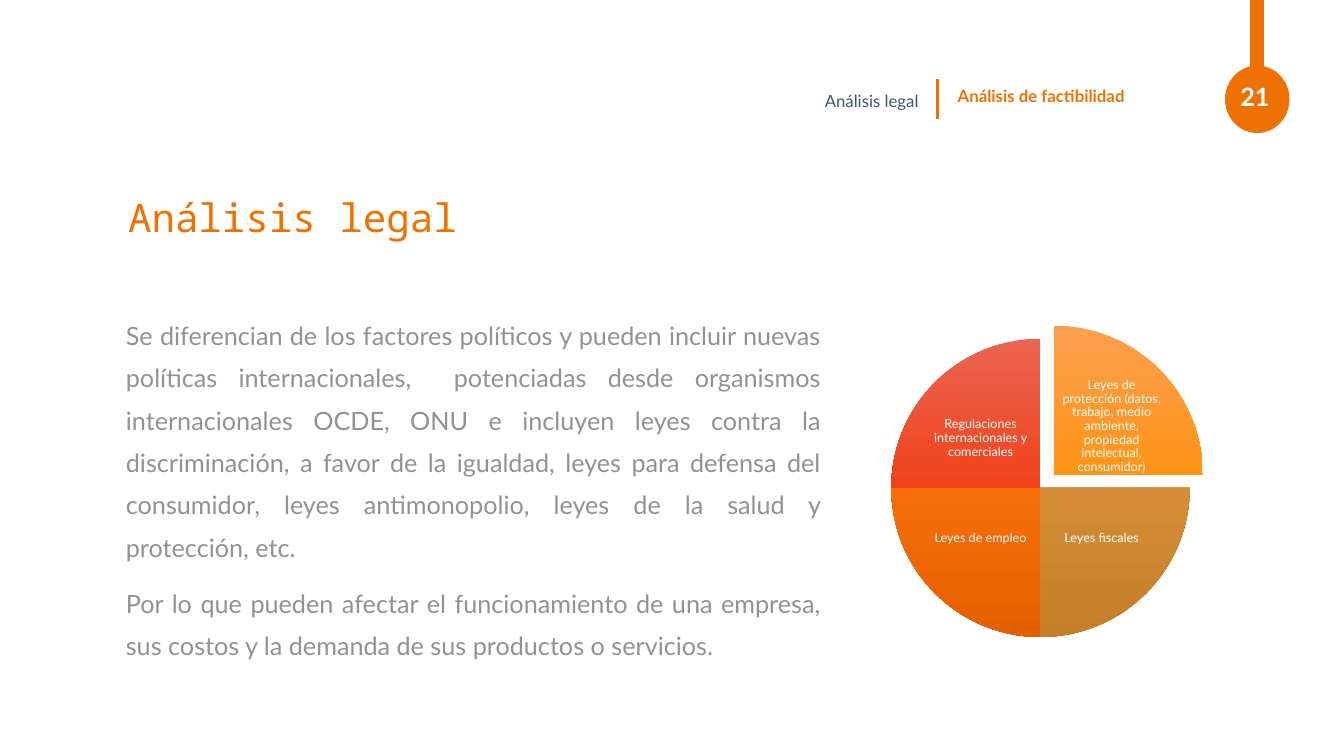
"""Build the legal analysis slide with its four-part pie diagram."""
import copy
import dataclasses

import lxml.etree
import pptx
import pptx.dml.color
import pptx.enum.shapes
import pptx.enum.text
import pptx.oxml.ns
import pptx.util

ALIGN = pptx.enum.text.PP_ALIGN
ANCHOR = pptx.enum.text.MSO_ANCHOR
SHAPE = pptx.enum.shapes.MSO_SHAPE


@dataclasses.dataclass(frozen=True)
class Theme:
    """Colours, fonts and type sizes of the slide."""
    accent: str = "EE7203"
    slate: str = "3A5868"
    grey: str = "929292"
    white: str = "FFFFFF"
    amber: tuple = ("FC9F4F", "FF9416", "E58311")
    bronze: tuple = ("D49A5D", "D58E37", "C57F29")
    orange: tuple = ("F0814D", "F76E0B", "E56000")
    red: tuple = ("EB6451", "F04219", "E0340C")
    text_font: str = "Lato"
    title_font: str = "Noto Sans Mono"
    title_size: int = 28
    body_size: int = 18
    header_size: int = 12
    label_size: int = 9


def px(length):
    """Turn px, at 100 to the inch, into EMU."""
    return pptx.util.Emu(length * 9144)


def rgb(code):
    """Turn a hex code into a colour."""
    return pptx.dml.color.RGBColor.from_string(code)


class SlideBuilder:
    """Draw styled elements on one page."""

    def __init__(self, deck, theme):
        """Add a title-only page to the deck."""
        self.theme = theme
        self.page = deck.slides.add_slide(deck.slide_layouts[5])

    def fill_text(self, box, paragraphs, size, color, align=ALIGN.LEFT, bold=False,
                  font=None, spacing=1.0, before=0, anchor=ANCHOR.MIDDLE, inset=None):
        """Fill a box with formatted paragraphs."""
        frame = box.text_frame
        frame.word_wrap = True
        frame.auto_size = pptx.enum.text.MSO_AUTO_SIZE.NONE
        frame.vertical_anchor = anchor
        if inset is not None:
            frame.margin_left = frame.margin_right = px(inset)
            frame.margin_top = frame.margin_bottom = px(inset)
        frame.text = "\n".join(paragraphs)
        for para in frame.paragraphs:
            para.alignment = align
            para.line_spacing = spacing
            para.space_before = pptx.util.Pt(before)
            for span in para.runs:
                span.font.name = font or self.theme.text_font
                span.font.size = pptx.util.Pt(size)
                span.font.bold = bold
                span.font.color.rgb = rgb(color)

    def title(self, text, left, top, width, height):
        """Place and format the title placeholder."""
        box = self.page.shapes.title
        box.left, box.top, box.width, box.height = map(px, (left, top, width, height))
        self.fill_text(box, [text], self.theme.title_size, self.theme.accent,
                       font=self.theme.title_font, spacing=0.9)

    def text(self, bounds, paragraphs, size, color, **style):
        """Add a text box."""
        box = self.page.shapes.add_textbox(*map(px, bounds))
        self.fill_text(box, paragraphs, size, color, **style)

    def line(self, x, top, bottom, weight):
        """Add a vertical accent line."""
        kind = pptx.enum.shapes.MSO_CONNECTOR.STRAIGHT
        line = self.page.shapes.add_connector(kind, px(x), px(top), px(x), px(bottom))
        line.line.color.rgb = rgb(self.theme.accent)
        line.line.width = pptx.util.Pt(weight)
        properties = line._element.spPr
        lxml.etree.SubElement(properties, pptx.oxml.ns.qn("a:effectLst"))

    def shape(self, kind, bounds):
        """Add a preset shape without outline or shadow."""
        shape = self.page.shapes.add_shape(kind, *map(px, bounds))
        shape.shadow.inherit = False
        shape.line.fill.background()
        return shape

    def disc(self, bounds):
        """Add a plain accent ellipse."""
        disc = self.shape(SHAPE.OVAL, bounds)
        disc.fill.solid()
        disc.fill.fore_color.rgb = rgb(self.theme.accent)

    def sector(self, left, top, size, quarter, colors):
        """Add a quarter of a pie with a vertical gradient."""
        sector = self.shape(SHAPE.PIE, (left, top, size, size))
        sector.adjustments[0] = quarter * 54
        sector.adjustments[1] = (quarter + 1) % 4 * 54
        sector.fill.gradient()
        sector.fill.gradient_angle = 270
        stops = sector._element.spPr.find(".//" + pptx.oxml.ns.qn("a:gsLst"))
        stops.append(copy.deepcopy(stops[0]))
        for index, (stop, color) in enumerate(zip(sector.fill.gradient_stops, colors)):
            stop.position = index / 2
            stop.color.rgb = rgb(color)

    def label(self, left, top, text):
        """Add a centred label over a sector."""
        self.text((left, top, 109, 88), [text], self.theme.label_size,
                  self.theme.white, align=ALIGN.CENTER, spacing=0.9, inset=1)


def main():
    """Compose and save the slide."""
    deck = pptx.Presentation()
    deck.slide_width, deck.slide_height = px(1333), px(750)
    theme = Theme()
    slide = SlideBuilder(deck, theme)

    slide.disc((1215, 65, 64, 67))
    slide.line(1247, 85, 0, 10)
    slide.line(930, 78, 118, 2.25)
    slide.text((1215, 80, 54, 32), ["21"], theme.body_size, theme.white,
               align=ALIGN.RIGHT, bold=True)
    slide.text((488, 75, 433, 39), ["Análisis legal"], theme.header_size, theme.slate,
               align=ALIGN.RIGHT, spacing=1.5, before=10)
    slide.text((940, 76, 268, 39), ["Análisis de factibilidad"], theme.header_size,
               theme.accent, bold=True)

    slide.title("Análisis legal", 117, 164, 1043, 108)
    slide.text((115, 301, 709, 377), [
        "Se diferencian de los factores políticos y pueden incluir nuevas políticas "
        "internacionales,  potenciadas desde organismos internacionales OCDE, ONU e "
        "incluyen leyes contra la discriminación, a favor de la igualdad, leyes para "
        "defensa del consumidor, leyes antimonopolio, leyes de la salud y protección, etc.",
        "Por lo que pueden afectar el funcionamiento de una empresa, sus costos y la "
        "demanda de sus productos o servicios.",
    ], theme.body_size, theme.grey, align=ALIGN.JUSTIFY, spacing=1.4, before=10,
        anchor=ANCHOR.TOP)

    pie_left, pie_top, pie_size, pull = 884, 336, 296, 13
    sectors = [
        (3, pull, theme.amber, 1048, 379, "Leyes de protección (datos, trabajo, medio "
         "ambiente, propiedad intelectual, consumidor)"),
        (0, 0, theme.bronze, 1038, 490, "Leyes fiscales"),
        (1, 0, theme.orange, 918, 490, "Leyes de empleo"),
        (2, 0, theme.red, 918, 391, "Regulaciones internacionales y comerciales"),
    ]
    for quarter, offset, colors, label_left, label_top, text in sectors:
        slide.sector(pie_left + offset, pie_top - offset, pie_size, quarter, colors)
        slide.label(label_left, label_top, text)

    deck.save("out.pptx")


if __name__ == "__main__":
    main()
